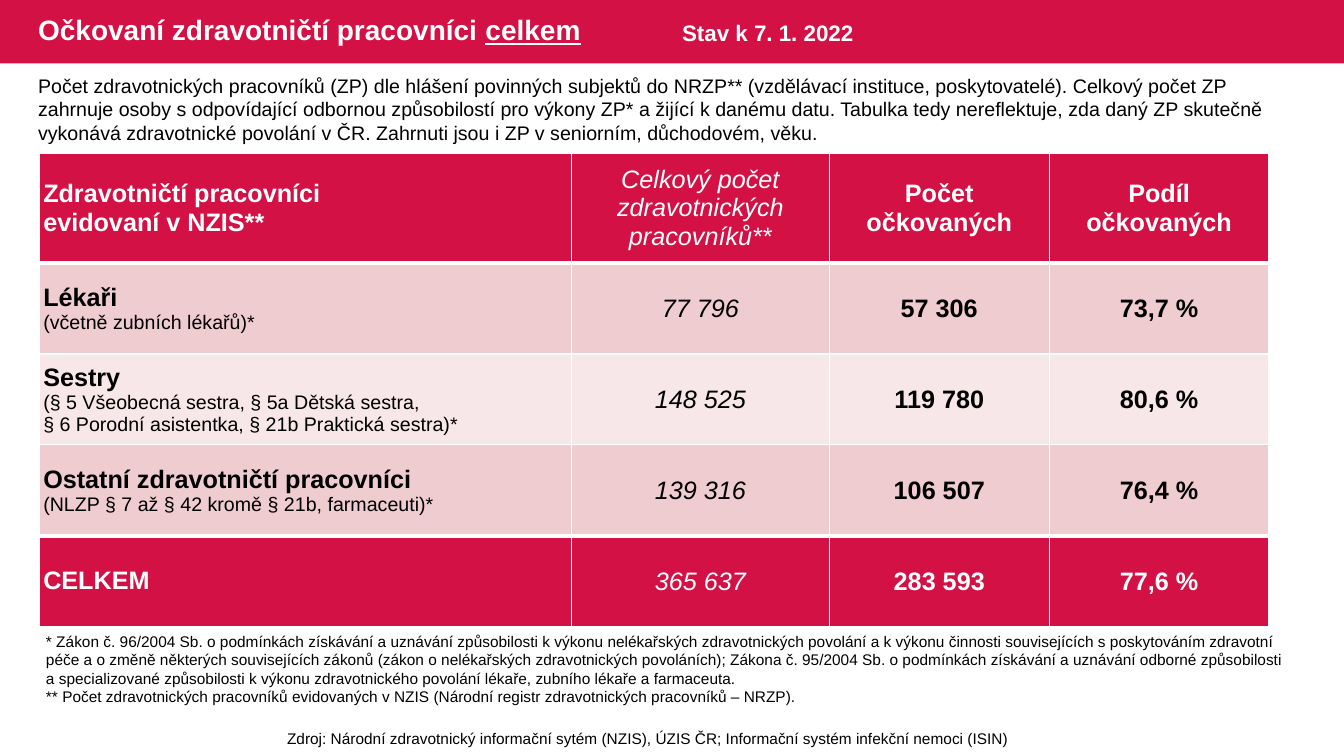
from lxml import etree
from pptx import Presentation
from pptx.dml.color import RGBColor
from pptx.enum.shapes import MSO_SHAPE
from pptx.enum.text import MSO_ANCHOR, MSO_AUTO_SIZE, PP_ALIGN
from pptx.oxml.ns import qn
from pptx.util import Cm, Pt

RECT = MSO_SHAPE.RECTANGLE
MIDDLE = MSO_ANCHOR.MIDDLE
GROW = MSO_AUTO_SIZE.SHAPE_TO_FIT_TEXT
LEFT, CENTER = PP_ALIGN.LEFT, PP_ALIGN.CENTER

RED, ROSE, PALE = "D31145", "EFCCCF", "F7E7E9"
WHITE, BLACK = "FFFFFF", "000000"

WIDTHS = (13.41, 6.5, 5.54, 5.54)
HEIGHTS = (2.77, 2.29, 2.29, 2.29, 2.29)
FILLS = (RED, ROSE, PALE, ROSE, RED)
ROWS = (
    ("Zdravotničtí pracovníci\nevidovaní v NZIS**",
     "Celkový počet zdravotnických pracovníků**", "Počet očkovaných", "Podíl očkovaných"),
    ("Lékaři\n(včetně zubních lékařů)*", "77 796", "57 306", "73,7 %"),
    ("Sestry\n(§ 5 Všeobecná sestra, § 5a Dětská sestra,\n"
     "§ 6 Porodní asistentka, § 21b Praktická sestra)*", "148 525", "119 780", "80,6 %"),
    ("Ostatní zdravotničtí pracovníci\n(NLZP § 7 až § 42 kromě § 21b, farmaceuti)*",
     "139 316", "106 507", "76,4 %"),
    ("CELKEM", "365 637", "283 593", "77,6 %"),
)

INTRO = (
    "Počet zdravotnických pracovníků (ZP) dle hlášení povinných subjektů do NRZP** "
    "(vzdělávací instituce, poskytovatelé). Celkový počet ZP zahrnuje osoby s odpovídající "
    "odbornou způsobilostí pro výkony ZP* a žijící k danému datu. Tabulka tedy nereflektuje, "
    "zda daný ZP skutečně vykonává zdravotnické povolání v ČR. Zahrnuti jsou i ZP v seniorním, "
    "důchodovém, věku."
)
NOTES = (
    "* Zákon č. 96/2004 Sb. o podmínkách získávání a uznávání způsobilosti k výkonu "
    "nelékařských zdravotnických povolání a k výkonu činnosti souvisejících s poskytováním "
    "zdravotní péče a o změně některých souvisejících zákonů (zákon o nelékařských "
    "zdravotnických povoláních); Zákona č. 95/2004 Sb. o podmínkách získávání a uznávání "
    "odborné způsobilosti a specializované způsobilosti k výkonu zdravotnického povolání "
    "lékaře, zubního lékaře a farmaceuta.",
    "** Počet zdravotnických pracovníků evidovaných v NZIS "
    "(Národní registr zdravotnických pracovníků – NRZP).",
)
SOURCE = ("Zdroj: Národní zdravotnický informační sytém (NZIS), ÚZIS ČR; "
          "Informační systém infekční nemoci (ISIN)")


def paint(fmt, color):
    fmt.solid()
    fmt.fore_color.rgb = RGBColor.from_string(color)


def add_run(para, text, size, color=BLACK, **style):
    run = para.add_run()
    run.text = text
    look = {"name": "Arial", "size": Pt(size), **style}
    for key, value in look.items():
        setattr(run.font, key, value)
    paint(run.font.fill, color)


def write(frame, lines, align=LEFT):
    """Fill a frame; each line is a list of (text, style) runs."""
    for i, runs in enumerate(lines):
        para = frame.add_paragraph() if i else frame.paragraphs[0]
        para.alignment = align
        for text, style in runs:
            add_run(para, text, **style)


def add_text(slide, box, lines, align=LEFT):
    frame = slide.shapes.add_textbox(*map(Cm, box)).text_frame
    frame.word_wrap = True
    frame.auto_size = GROW
    write(frame, lines, align)
    return frame


def add_bar(slide, box, color):
    bar = slide.shapes.add_shape(RECT, *map(Cm, box))
    bar.shadow.inherit = False
    paint(bar.fill, color)
    bar.line.fill.background()


def add_edge(cell, side, width):
    props = cell._tc.get_or_add_tcPr()
    line = etree.SubElement(props, qn(f"a:ln{side}"), w=str(Pt(width)))
    fill = etree.SubElement(line, qn("a:solidFill"))
    etree.SubElement(fill, qn("a:srgbClr"), val=WHITE)


def fill_cell(cell, text, row, col):
    last = len(ROWS) - 1
    top = 3 if row in (1, last) else 1
    bottom = 3 if row in (0, last - 1) else 1
    for side, width in zip("LRTB", (1, 1, top, bottom)):
        add_edge(cell, side, width)
    paint(cell.fill, FILLS[row])
    wide = row == 0 or col == 0
    side = Cm(0.1 if wide else 0.03)
    look = {"vertical_anchor": MIDDLE, "margin_left": side, "margin_right": side,
            "margin_top": Cm(0 if wide else 0.03), "margin_bottom": 0}
    for key, value in look.items():
        setattr(cell, key, value)
    color = WHITE if FILLS[row] == RED else BLACK
    main_style = {"size": 18, "color": color, "bold": col != 1, "italic": col == 1}
    sub_style = main_style if row == 0 else {"size": 14, "color": color, "bold": False}
    lines = [[(line, sub_style if i else main_style)]
             for i, line in enumerate(text.split("\n"))]
    write(cell.text_frame, lines, CENTER if col else LEFT)


def add_grid(slide, left, top):
    box = (left, top, sum(WIDTHS), sum(HEIGHTS))
    table = slide.shapes.add_table(len(ROWS), len(WIDTHS), *map(Cm, box)).table
    table.first_row = table.horz_banding = False
    for col, width in zip(table.columns, WIDTHS):
        col.width = Cm(width)
    for r, texts in enumerate(ROWS):
        table.rows[r].height = Cm(HEIGHTS[r])
        for c, text in enumerate(texts):
            fill_cell(table.cell(r, c), text, r, c)


def main():
    deck = Presentation()
    deck.slide_width, deck.slide_height = Cm(33.87), Cm(19.05)
    slide = deck.slides.add_slide(deck.slide_layouts[6])
    add_bar(slide, (0, 0, 33.87, 1.6), RED)

    head = {"size": 20, "color": WHITE, "bold": True}
    title = add_text(slide, (0.71, 0, 20.65, 1.6), [
        [("Očkovaní zdravotničtí pracovníci ", head), ("celkem", {**head, "underline": True})]])
    title.auto_size = MSO_AUTO_SIZE.NONE
    title.vertical_anchor = MIDDLE
    title.paragraphs[0].line_spacing = 0.9

    add_grid(slide, 0.99, 3.86)
    add_text(slide, (16.94, 0.36, 5.59, 0.94), [[("Stav k 7. 1. 2022", {**head, "size": 16})]])
    small = {"size": 11}
    add_text(slide, (0.91, 15.8, 31.83, 2.13), [[(note, small)] for note in NOTES])
    add_text(slide, (0.71, 1.73, 32.49, 2.06), [[(INTRO, {"size": 14})]])
    add_text(slide, (4.83, 18.26, 23.01, 0.74), [[(SOURCE, small)]], CENTER)
    deck.save("out.pptx")


if __name__ == "__main__":
    main()
